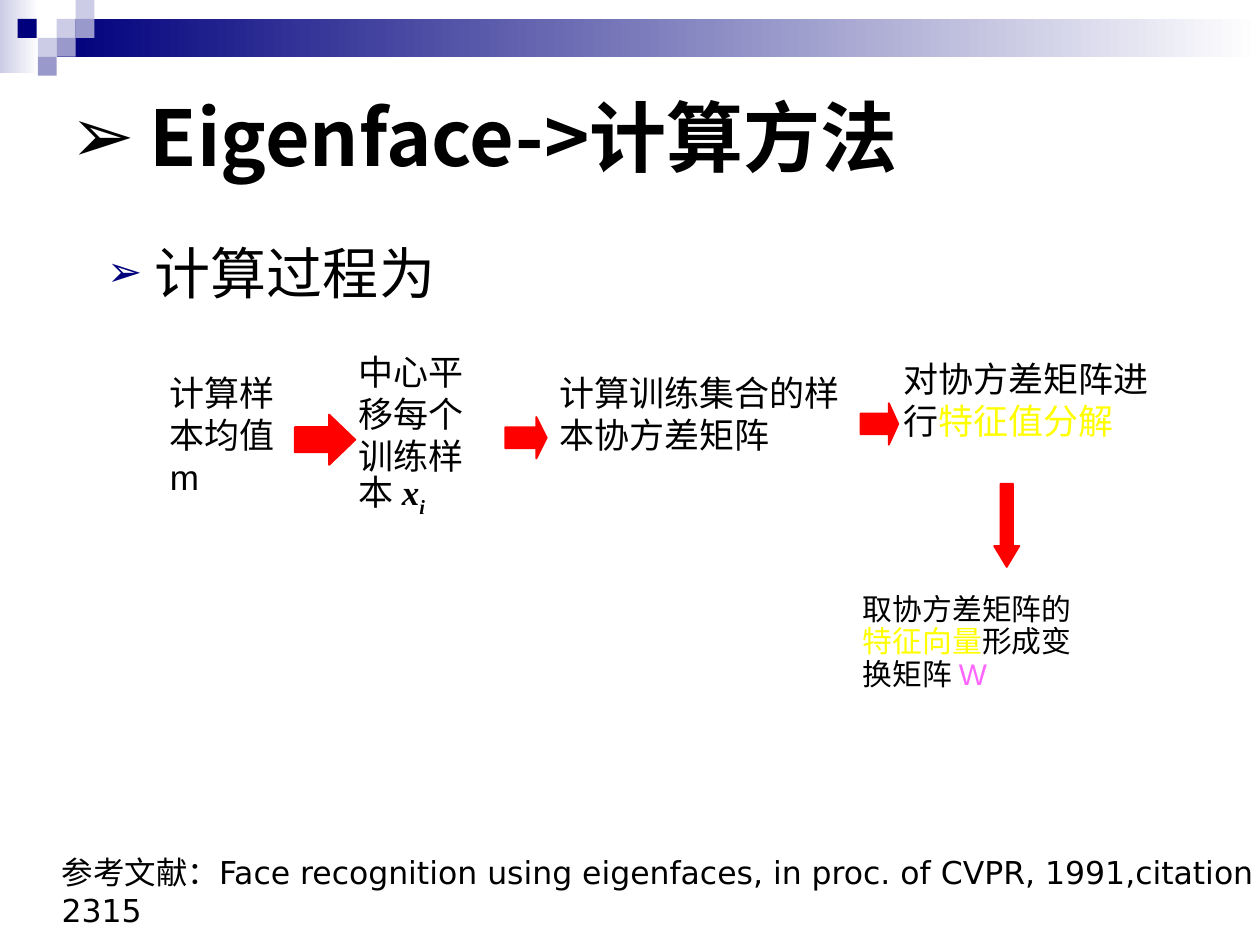
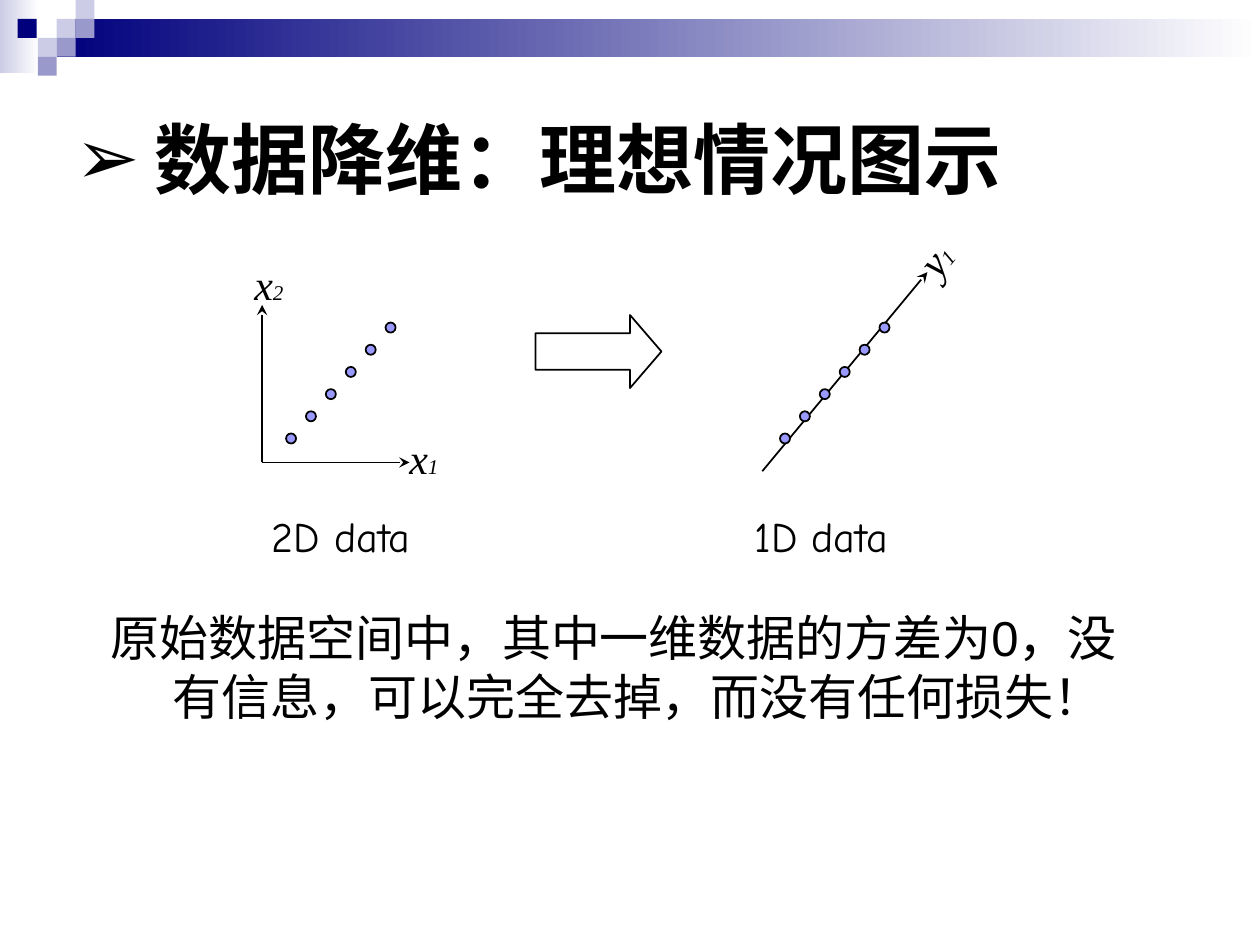
from lxml.etree import SubElement
from pptx import Presentation
from pptx.dml.color import RGBColor
from pptx.enum.shapes import MSO_CONNECTOR, MSO_SHAPE as SHAPE
from pptx.enum.text import MSO_ANCHOR as ANCHOR, MSO_AUTO_SIZE, PP_ALIGN as ALIGN
from pptx.oxml.ns import qn
from pptx.util import Inches, Pt

NAVY, PERIWINKLE, LAVENDER = "00007D", "9999CC", "CCCCE6"
BLACK, WHITE, RED, YELLOW, PINK, DOT_BLUE = (
    "000000", "FFFFFF", "FF0000", "FFFF00", "FF66FF", "9999FF")
CJK_FONT = "Noto Sans CJK SC"
LINE_HEIGHT = 1.2
HANGING = 0.38
CELL = 0.15
CHECKER = [
    (0.45, 0.15, LAVENDER), (0.6, 0, LAVENDER), (0.6, 0.15, PERIWINKLE),
    (0.3, 0.3, LAVENDER), (0.14, 0.15, NAVY), (0.45, 0.3, PERIWINKLE),
    (0.3, 0.45, PERIWINKLE),
]
MATH = {"name": "Times New Roman", "italic": True}


def rgb(color):
    return RGBColor.from_string(color)


def inches(values):
    return [Inches(value) for value in values]


class Deck:
    """Holds the shared style and the slide being filled."""

    def __init__(self):
        self.prs = Presentation()
        self.prs.slide_width, self.prs.slide_height = inches((10, 7.5))
        self.slide = None

    def new_slide(self):
        self.slide = self.prs.slides.add_slide(self.prs.slide_layouts[1])

    def shape(self, kind, box, fill=None, line=None, adjust=()):
        """Add a preset shape; a pair of fill colours makes a gradient."""
        shape = self.slide.shapes.add_shape(kind, *inches(box))
        shape.shadow.inherit = False
        for index, value in enumerate(adjust):
            shape.adjustments[index] = value
        if fill is None:
            shape.fill.background()
        elif isinstance(fill, tuple):
            shape.fill.gradient()
            shape.fill.gradient_angle = 0
            for stop, color in zip(shape.fill.gradient_stops, fill):
                stop.color.rgb = rgb(color)
        else:
            shape.fill.solid()
            shape.fill.fore_color.rgb = rgb(fill)
        if line:
            shape.line.color.rgb = rgb(line)
            shape.line.width = Pt(1)
        else:
            shape.line.fill.background()
        return shape

    def master_band(self):
        """Draw the top band on the slide and move it to the master."""
        parts = [
            self.shape(SHAPE.RECTANGLE, (0, 0, 0.31, 0.58), (LAVENDER, WHITE)),
            self.shape(SHAPE.RECTANGLE, (0.45, 0.15, 9.55, 0.3), (NAVY, WHITE)),
        ]
        parts += [self.shape(SHAPE.RECTANGLE, (left, top, CELL, CELL), color)
                  for left, top, color in CHECKER]
        tree = self.prs.slide_master.shapes.element
        for index, part in enumerate(parts):
            part.element.nvSpPr.cNvPr.set("id", str(100 + index))
            tree.insert(2 + index, part.element)

    def fill_text(self, shape, runs, size, align=ALIGN.LEFT, anchor=ANCHOR.TOP,
                  wrap=True, margin=0, indent=0, bullet=None, spacing=1):
        """Fill a shape with one paragraph of (text, format) runs."""
        frame = shape.text_frame
        settings = {"word_wrap": wrap, "auto_size": MSO_AUTO_SIZE.NONE,
                    "vertical_anchor": anchor,
                    "margin_left": Inches(0.1), "margin_right": Inches(0.1),
                    "margin_top": Inches(0.05), "margin_bottom": Inches(0.05)}
        for key, value in settings.items():
            setattr(frame, key, value)
        paragraph = frame.paragraphs[0]
        self.bullet(paragraph, margin, indent, bullet)
        paragraph.alignment = align
        paragraph.space_before = Pt(0)
        paragraph.line_spacing = Pt(size * LINE_HEIGHT * spacing)
        for text, style in runs:
            self.run(paragraph, text, {"size": Pt(size), "name": "Arial", **style})

    def bullet(self, paragraph, margin, indent, bullet):
        """Set the indents and a bullet given as (colour, percent)."""
        properties = paragraph._p.get_or_add_pPr()
        properties.set("marL", str(Inches(margin)))
        properties.set("indent", str(Inches(indent)))
        if bullet is None:
            SubElement(properties, qn("a:buNone"))
            return
        color, percent = bullet
        holder = SubElement(properties, qn("a:buClr"))
        SubElement(holder, qn("a:srgbClr"), val=color)
        SubElement(properties, qn("a:buSzPct"), val=str(percent * 1000))
        SubElement(properties, qn("a:buFont"), typeface="DejaVu Sans")
        SubElement(properties, qn("a:buChar"), char="➢")

    def run(self, paragraph, text, style):
        run = paragraph.add_run()
        run.text = text
        run.font.color.rgb = rgb(style.pop("color", BLACK))
        baseline = style.pop("baseline", None)
        for key, value in style.items():
            setattr(run.font, key, value)
        properties = run._r.get_or_add_rPr()
        if baseline:
            properties.set("baseline", str(baseline * 1000))
        east_asian = SubElement(properties, qn("a:ea"), typeface=CJK_FONT)
        properties.find(qn("a:latin")).addnext(east_asian)

    def place(self, holder, box):
        holder.left, holder.top, holder.width, holder.height = inches(box)
        return holder

    def title(self, text, left, top, font):
        holder = self.place(self.slide.shapes.title, (left, top, 9, 1.5))
        self.fill_text(holder, [(text, {"name": font, "bold": True})], 44,
                       anchor=ANCHOR.MIDDLE, margin=0.63, indent=-0.63,
                       bullet=(BLACK, 100))

    def body(self, text, box, size, **layout):
        holder = self.place(self.slide.placeholders[1], box)
        self.fill_text(holder, [(text, {})], size, margin=HANGING,
                       indent=-HANGING, **layout)

    def text(self, box, runs, size, rotation=0, **layout):
        label = self.slide.shapes.add_textbox(*inches(box))
        label.rotation = rotation
        self.fill_text(label, runs, size, **layout)

    def axis(self, start, end):
        """Draw a line with an arrowhead at its end."""
        axis = self.slide.shapes.add_connector(
            MSO_CONNECTOR.STRAIGHT, *inches(start + end))
        axis.line.color.rgb = rgb(BLACK)
        axis.line.width = Pt(1)
        SubElement(axis.line._get_or_add_ln(), qn("a:tailEnd"), type="stealth")
        SubElement(axis.element.spPr, qn("a:effectLst"))

    def axis_label(self, letter, index, left, top, rotation=0):
        self.text((left, top, 0.52, 0.5),
                  [(letter, MATH), (index, {**MATH, "size": Pt(12)})],
                  24, rotation)

    def data_points(self, left):
        """Draw six points rising evenly to the right."""
        rise = 0.88 / 5
        run = 0.79 / 5
        for step in range(6):
            box = (left + run * step, 3.44 - rise * step, 0.08, 0.08)
            self.shape(SHAPE.OVAL, box, DOT_BLUE, BLACK)


def calculation_slide(deck):
    deck.title("Eigenface->计算方法", 0.46, 0.33, CJK_FONT)
    deck.body("计算过程为", (0.75, 1.84, 8.42, 1.09), 32, bullet=(NAVY, 75))
    variable = {**MATH, "bold": True}
    steps = [
        ((1.25, 2.9, 1.25, 1.1), [("计算样本均值 m", {})]),
        ((2.75, 2.73, 1.18, 1.48),
         [("中心平移每个训练样本 ", {}), ("x", variable),
          ("i", {**variable, "baseline": -25})]),
        ((4.34, 2.9, 2.58, 0.77), [("计算训练集合的样本协方差矩阵", {})]),
        ((7.07, 2.79, 2.33, 0.77),
         [("对协方差矩阵进行", {}), ("特征值分解", {"color": YELLOW})]),
    ]
    for box, runs in steps:
        deck.text(box, runs, 20)
    arrows = [
        (SHAPE.RIGHT_ARROW, (2.34, 3.29, 0.48, 0.4), (0.5, 0.52)),
        (SHAPE.RIGHT_ARROW, (4.01, 3.31, 0.33, 0.33), (0.5, 0.25)),
        (SHAPE.RIGHT_ARROW, (6.83, 3.2, 0.3, 0.33), (0.5, 0.25)),
        (SHAPE.DOWN_ARROW, (7.89, 3.84, 0.2, 0.66), (0.5, 0.83)),
    ]
    for kind, box, adjust in arrows:
        deck.shape(kind, box, RED, RED, adjust)
    deck.text((6.37, 4.67, 2.33, 1.17),
              [("取协方差矩阵的", {}), ("特征向量", {"color": YELLOW}),
               ("形成变换矩阵 ", {}), ("W", {"color": PINK})],
              17, margin=HANGING, spacing=0.9)
    reference = ("参考文献：Face recognition using eigenfaces, "
                 "in proc. of CVPR, 1991,citation 2315")
    deck.text((0.39, 6.72, 9.77, 0.4), [(reference, {"name": "DejaVu Sans"})], 18)


def reduction_slide(deck):
    deck.title("数据降维：理想情况图示", 0.5, 0.5, "Arial")
    deck.body("原始数据空间中，其中一维数据的方差为0，没有信息，"
              "可以完全去掉，而没有任何损失！",
              (0.66, 4.77, 8.42, 1.51), 28, align=ALIGN.CENTER)
    origin = (2.08, 3.67)
    deck.axis(origin, (2.08, 2.42))
    deck.axis(origin, (3.25, 3.67))
    deck.axis((6.05, 3.74), (7.36, 2.16))
    deck.axis_label("x", "1", 3.15, 3.38)
    deck.axis_label("x", "2", 1.92, 2)
    deck.axis_label("y", "1", 7.19, 1.77, rotation=310)
    for points_left, caption, caption_left in ((2.27, "2D data", 2.06),
                                               (6.19, "1D data", 5.89)):
        deck.data_points(points_left)
        deck.text((caption_left, 4, 1.3, 0.5),
                  [(caption, {"name": "Comic Neue"})], 24, wrap=False)
    deck.shape(SHAPE.RIGHT_ARROW, (4.25, 2.5, 1, 0.58), None, BLACK, (0.5, 0.43))


def main():
    deck = Deck()
    deck.new_slide()
    deck.master_band()
    calculation_slide(deck)
    deck.new_slide()
    reduction_slide(deck)
    deck.prs.save("out.pptx")


if __name__ == "__main__":
    main()
